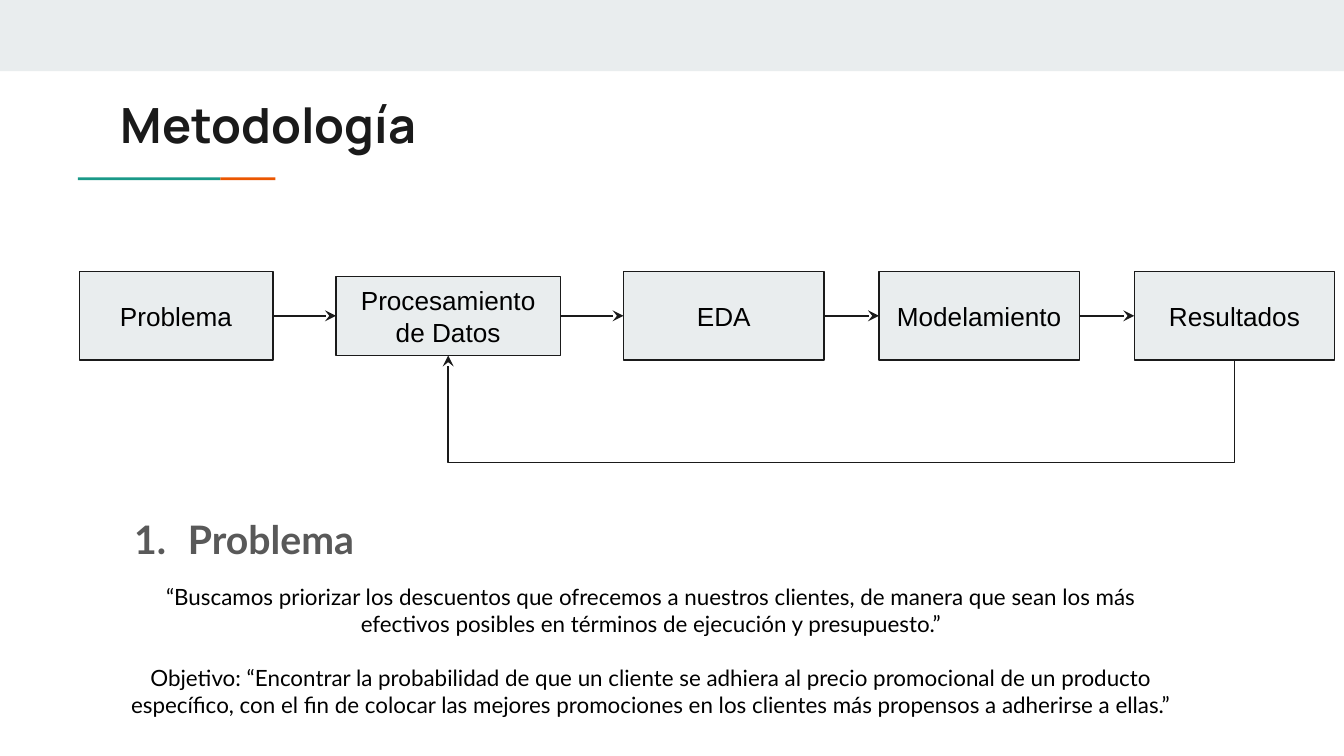
from lxml.etree import SubElement
from pptx import Presentation
from pptx.dml.color import RGBColor
from pptx.enum.shapes import MSO_CONNECTOR as CXN, MSO_SHAPE as SHAPE
from pptx.enum.text import MSO_ANCHOR as ANCHOR, PP_ALIGN as ALIGN
from pptx.oxml.ns import qn
from pptx.util import Inches, Pt

COLORS = {
    "band": "E9EDEE", "teal": "1A9988", "orange": "EB5600",
    "ink": "1A1A1A", "heading": "595959", "text": "000000",
}
ROW_MIDDLE = 2.35
LOOP_BOTTOM = 3.44
STEPS = [
    ("Problema", 0.59, 1.44, 0.66),
    ("Procesamiento de Datos", 2.5, 1.67, 0.59),
    ("EDA", 4.64, 1.49, 0.66),
    ("Modelamiento", 6.54, 1.49, 0.66),
    ("Resultados", 8.44, 1.49, 0.66),
]
STATEMENTS = [
    "“Buscamos priorizar los descuentos que ofrecemos a nuestros clientes, de manera que "
    "sean los más efectivos posibles en términos de ejecución y presupuesto.”",
    "Objetivo: “Encontrar la probabilidad de que un cliente se adhiera al precio promocional "
    "de un producto específico, con el fin de colocar las mejores promociones en los clientes "
    "más propensos a adherirse a ellas.”",
]


def rgb(name):
    return RGBColor.from_string(COLORS[name])


def write(sp, paragraphs, font="Lato", size=12, color="text", bold=False, align=ALIGN.LEFT,
          anchor=ANCHOR.TOP, gap=0, spacing=None, numbered=False):
    tf = sp.text_frame
    tf.word_wrap = True
    tf.vertical_anchor = anchor
    tf.margin_left = tf.margin_right = tf.margin_top = tf.margin_bottom = Inches(0.1)
    for i, text in enumerate(paragraphs):
        p = tf.add_paragraph() if i else tf.paragraphs[0]
        p.alignment = align
        if spacing:
            p.line_spacing = spacing
        if i:
            p.space_before = Pt(gap)
        if numbered:
            number(p, color)
        r = p.add_run()
        r.text = text
        r.font.name, r.font.size, r.font.bold = font, Pt(size), bold
        r.font.color.rgb = rgb(color)


def number(p, color):
    pPr = p._p.get_or_add_pPr()
    pPr.set("marL", str(Inches(0.5)))
    pPr.set("indent", str(Inches(-0.4)))
    SubElement(SubElement(pPr, qn("a:buClr")), qn("a:srgbClr"), val=COLORS[color])
    SubElement(pPr, qn("a:buAutoNum"), type="arabicPeriod")


def add_text(s, box, paragraphs, **fmt):
    write(s.shapes.add_textbox(*map(Inches, box)), paragraphs, **fmt)


def add_box(s, box, fill, shape=SHAPE.RECTANGLE, line=None):
    sp = s.shapes.add_shape(shape, *map(Inches, box))
    sp.shadow.inherit = False
    sp.fill.solid()
    sp.fill.fore_color.rgb = rgb(fill)
    if line:
        sp.line.color.rgb = rgb(line)
        sp.line.width = Pt(0.75)
    else:
        sp.line.fill.background()
    return sp


def add_step(s, text, left, width, height):
    box = (left, ROW_MIDDLE - height / 2, width, height)
    sp = add_box(s, box, "band", SHAPE.FLOWCHART_PROCESS, "ink")
    write(sp, [text], font="Arial", size=14, align=ALIGN.CENTER, anchor=ANCHOR.MIDDLE)
    return sp


def add_arrow(s, start, start_side, end, end_side, kind=CXN.STRAIGHT):
    arrow = s.shapes.add_connector(kind, 0, 0, 0, 0)
    arrow.begin_connect(start, start_side)
    arrow.end_connect(end, end_side)
    arrow.line.color.rgb = rgb("ink")
    arrow.line.width = Pt(0.75)
    SubElement(arrow.line._get_or_add_ln(), qn("a:tailEnd"), type="stealth")
    SubElement(arrow._element.spPr, qn("a:effectLst"))
    return arrow


def add_loop(s, start, end):
    """Route an elbow arrow below the row, from the bottom of start to the bottom of end."""
    arrow = add_arrow(s, start, 2, end, 2, CXN.ELBOW)
    start_x, end_x = start.left + start.width // 2, end.left + end.width // 2
    start_y, end_y = start.top + start.height, end.top + end.height
    drop, span = start_y - end_y, start_x - end_x
    arrow.left = (start_x + end_x - drop) // 2
    arrow.top = (start_y + end_y - span) // 2
    arrow.width, arrow.height = drop, span
    xfrm = arrow._element.spPr.find(qn("a:xfrm"))
    for name, value in (("rot", "5400000"), ("flipH", "1"), ("flipV", "0")):
        xfrm.set(name, value)
    guides = arrow._element.spPr.find(qn("a:prstGeom")).get_or_add_avLst()
    bend = round(-100000 * (Inches(LOOP_BOTTOM) - start_y) / drop)
    SubElement(guides, qn("a:gd"), name="adj1", fmla=f"val {bend}")


def main():
    prs = Presentation()
    prs.slide_width, prs.slide_height = Inches(10), Inches(10 * 9 / 16)
    s = prs.slides.add_slide(prs.slide_layouts[6])
    add_box(s, (0, 0, 10, 0.53), "band")
    add_box(s, (0.58, 1.32, 1.06, 0.02), "teal")
    add_box(s, (1.64, 1.32, 0.41, 0.02), "orange")
    add_text(s, (0.8, 0.61, 8.41, 0.59), ["Metodología"],
             font="Manrope", size=26, color="ink", bold=True)
    add_text(s, (0.8, 3.68, 8.41, 0.59), ["Problema"],
             size=21, color="heading", bold=True, spacing=1.15, numbered=True)
    steps = [add_step(s, *step) for step in STEPS]
    add_loop(s, steps[-1], steps[1])
    for start, end in zip(steps, steps[1:]):
        add_arrow(s, start, 3, end, 1)
    add_text(s, (0.82, 4.28, 8.05, 1.12), STATEMENTS,
             align=ALIGN.CENTER, anchor=ANCHOR.MIDDLE, gap=14.4)
    prs.save("out.pptx")


if __name__ == "__main__":
    main()
